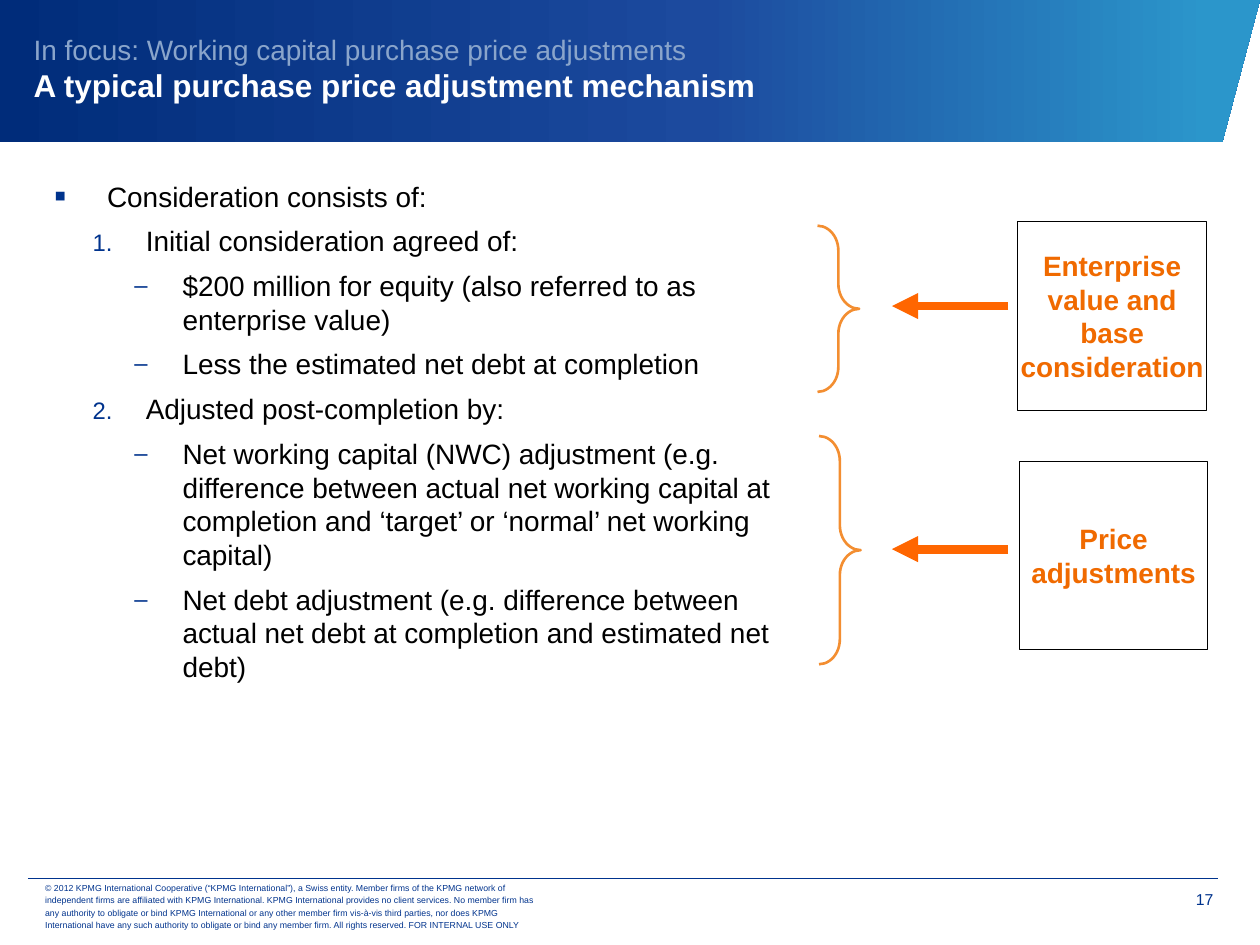
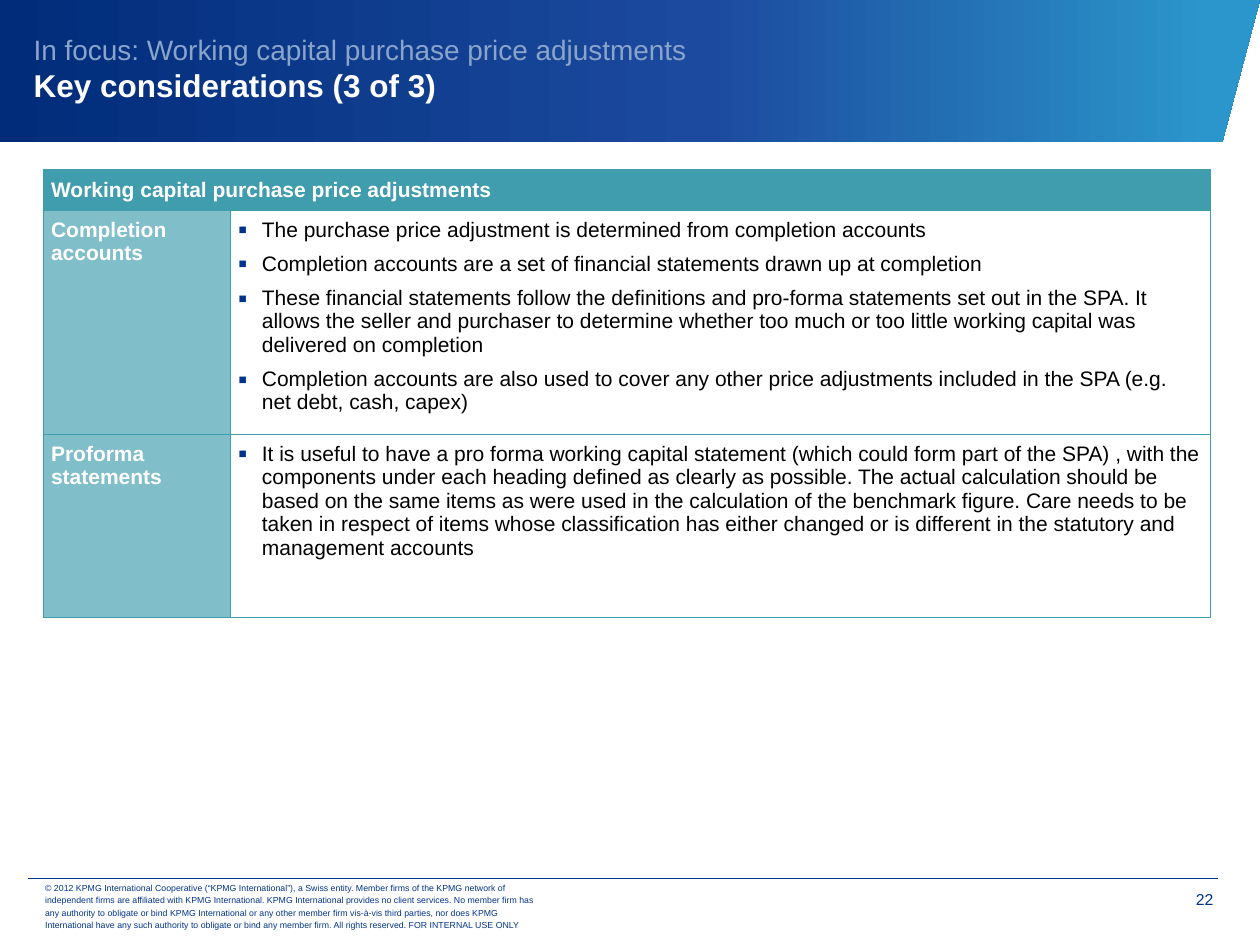
from lxml.etree import SubElement
from pptx import Presentation
from pptx.dml.color import RGBColor
from pptx.enum.shapes import MSO_CONNECTOR, MSO_SHAPE
from pptx.enum.text import MSO_ANCHOR, PP_ALIGN
from pptx.oxml.ns import qn
from pptx.util import Cm, Pt

# Colours and font
NAVY = RGBColor(0x00, 0x33, 0x8D)
PALE_BLUE = RGBColor(0x8A, 0xA5, 0xCB)
WHITE = RGBColor(0xFF, 0xFF, 0xFF)
BLACK = RGBColor(0x00, 0x00, 0x00)
ORANGE_TEXT = RGBColor(0xF0, 0x6A, 0x00)
ORANGE_ARROW = RGBColor(0xFF, 0x66, 0x00)
ORANGE_BRACE = RGBColor(0xF3, 0x8E, 0x31)
TEAL = RGBColor(0x40, 0x9D, 0xAD)
LIGHT_TEAL = RGBColor(0x80, 0xBE, 0xC9)
BAND_STOPS = [
    (0, RGBColor(0x00, 0x2C, 0x7A)),
    (56, RGBColor(0x1C, 0x4A, 0x9E)),
    (96, RGBColor(0x2B, 0x96, 0xCB)),
]
FONT = "Arial"

# Shared content
SERIES = "In focus: Working capital purchase price adjustments"
COPYRIGHT = (
    "© 2012 KPMG International Cooperative (“KPMG International”), a Swiss entity. "
    "Member firms of the KPMG network of independent firms are affiliated with KPMG "
    "International. KPMG International provides no client services. No member firm has any "
    "authority to obligate or bind KPMG International or any other member firm vis-à-vis "
    "third parties, nor does KPMG International have any such authority to obligate or bind "
    "any member firm. All rights reserved. FOR INTERNAL USE ONLY"
)

# Mechanism slide: (list level, text)
MECHANISM = [
    (1, "Consideration consists of:"),
    (2, "Initial consideration agreed of:"),
    (3, "$200 million for equity (also referred to as enterprise value)"),
    (3, "Less the estimated net debt at completion"),
    (2, "Adjusted post-completion by:"),
    (3, "Net working capital (NWC) adjustment (e.g. difference between actual net working "
        "capital at completion and ‘target’ or ‘normal’ net working capital)"),
    (3, "Net debt adjustment (e.g. difference between actual net debt at completion and "
        "estimated net debt)"),
]
# Level: (bullet, size in percent, left margin and hanging indent in cm)
LIST_STYLES = {
    1: ("▪", 125, 1.07, 1.07),
    2: ("number", 85, 1.85, 1.07),
    3: ("–", 85, 2.59, 0.97),
}
# Label, box left and top, arrow height, brace left, top and height, in cm
CALLOUTS = [
    ("Enterprise value and base consideration", 20.52, 4.47, 6.17, 16.48, 4.55, 3.35),
    ("Price adjustments", 20.55, 9.3, 11.07, 16.51, 8.79, 4.6),
]
BOX_SIDE = 3.8

# Considerations slide
TABLE_TITLE = "Working capital purchase price adjustments"
CONSIDERATIONS = [
    ("Completion accounts", [
        "The purchase price adjustment is determined from completion accounts",
        "Completion accounts are a set of financial statements drawn up at completion",
        "These financial statements follow the definitions and pro-forma statements set out in "
        "the SPA. It allows the seller and purchaser to determine whether too much or too "
        "little working capital was delivered on completion",
        "Completion accounts are also used to cover any other price adjustments included in "
        "the SPA (e.g. net debt, cash, capex)",
    ]),
    ("Proforma statements", [
        "It is useful to have a pro forma working capital statement (which could form part of "
        "the SPA) , with the components under each heading defined as clearly as possible. The "
        "actual calculation should be based on the same items as were used in the calculation "
        "of the benchmark figure. Care needs to be taken in respect of items whose "
        "classification has either changed or is different in the statutory and management "
        "accounts",
    ]),
]
COLUMN_WIDTHS = [3.77, 19.76]
ROW_HEIGHTS = [0.81, 4.25, 3.69]
TABLE_BULLET = ("▪", 125, 0.48, 0.48)


def style_run(span, size, colour, bold=False):
    span.font.name = FONT
    span.font.size = Pt(size)
    span.font.color.rgb = colour
    span.font.bold = bold


def set_bullet(para, bullet, percent, margin, hang):
    properties = para._p.get_or_add_pPr()
    properties.set("marL", str(Cm(margin)))
    properties.set("indent", str(-Cm(hang)))
    colour = SubElement(properties, qn("a:buClr"))
    SubElement(colour, qn("a:srgbClr"), val=str(NAVY))
    SubElement(properties, qn("a:buSzPct"), val=str(percent * 1000))
    SubElement(properties, qn("a:buFont"), typeface=FONT)
    if bullet == "number":
        SubElement(properties, qn("a:buAutoNum"), type="arabicPeriod")
    else:
        SubElement(properties, qn("a:buChar"), char=bullet)


def write(frame, texts, size, colour, bold=False, align=PP_ALIGN.LEFT, gap=0):
    """Fill a frame with one paragraph per text and return the paragraphs."""
    frame.text = "\n".join(texts)
    for index, para in enumerate(frame.paragraphs):
        para.alignment = align
        para.space_before = Pt(gap if index else 0)
        for span in para.runs:
            style_run(span, size, colour, bold)
    return frame.paragraphs


def set_insets(frame, left=0, top=0, right=0, bottom=0):
    frame.margin_left, frame.margin_top = Cm(left), Cm(top)
    frame.margin_right, frame.margin_bottom = Cm(right), Cm(bottom)


def add_text(page, left, top, width, height, anchor=MSO_ANCHOR.TOP):
    frame = page.shapes.add_textbox(Cm(left), Cm(top), Cm(width), Cm(height)).text_frame
    frame.word_wrap = True
    frame.vertical_anchor = anchor
    return frame


def add_shape(page, kind, left, top, width, height, line, weight):
    shape = page.shapes.add_shape(kind, Cm(left), Cm(top), Cm(width), Cm(height))
    shape.shadow.inherit = False
    shape.line.color.rgb = line
    shape.line.width = Pt(weight)
    return shape


def add_line(page, start, end, colour, weight):
    line = page.shapes.add_connector(MSO_CONNECTOR.STRAIGHT, *map(Cm, start + end))
    line.line.color.rgb = colour
    line.line.width = Pt(weight)
    SubElement(line._element.spPr, qn("a:effectLst"))
    return line


def add_band(page):
    builder = page.shapes.build_freeform(0, 0)
    corners = [(25.4, 0), (24.64, 2.87), (0, 2.87)]
    builder.add_line_segments([(Cm(x), Cm(y)) for x, y in corners], close=True)
    band = builder.convert_to_shape()
    band.shadow.inherit = False
    band.line.fill.background()
    band.fill.gradient()
    band.fill.gradient_angle = 0
    stops = band._element.spPr.find(qn("a:gradFill")).find(qn("a:gsLst"))
    stops.clear()
    for position, colour in BAND_STOPS:
        stop = SubElement(stops, qn("a:gs"), pos=str(position * 1000))
        SubElement(stop, qn("a:srgbClr"), val=str(colour))


def add_page(deck, title, number):
    page = deck.slides.add_slide(deck.slide_layouts[6])
    add_band(page)

    # Footer
    frame = add_text(page, 23.06, 17.73, 1.4, 0.79)
    set_insets(frame, left=0.2, top=0.2)
    write(frame, [str(number)], 9, NAVY, align=PP_ALIGN.RIGHT)
    frame = add_text(page, 0.66, 17.81, 10.54, 0.89, MSO_ANCHOR.MIDDLE)
    write(frame, [COPYRIGHT], 5, NAVY)[0].line_spacing = Pt(7)
    add_line(page, (0.56, 17.7), (24.56, 17.7), NAVY, 0.25)

    # Title: series name above slide title
    frame = add_text(page, 0.43, 0, 24.97, 2.74, MSO_ANCHOR.MIDDLE)
    para = write(frame, [f"{SERIES}\v{title}"], 16, PALE_BLUE)[0]
    style_run(para.runs[1], 18, WHITE, bold=True)
    return page


def add_callout(page, label, left, top, arrow_y, brace_left, brace_top, brace_height):
    box = add_shape(page, MSO_SHAPE.RECTANGLE, left, top, BOX_SIDE, BOX_SIDE, BLACK, 0.5)
    box.fill.solid()
    box.fill.fore_color.rgb = WHITE
    frame = box.text_frame
    frame.word_wrap = True
    frame.vertical_anchor = MSO_ANCHOR.MIDDLE
    set_insets(frame)
    write(frame, [label], 16, ORANGE_TEXT, bold=True, align=PP_ALIGN.CENTER)

    arrow = add_line(page, (20.32, arrow_y), (17.98, arrow_y), ORANGE_ARROW, 5)
    SubElement(arrow.line._get_or_add_ln(), qn("a:tailEnd"), type="triangle")

    brace = add_shape(page, MSO_SHAPE.LEFT_BRACE, brace_left, brace_top, 0.84, brace_height,
                      ORANGE_BRACE, 1.5)
    brace.fill.background()
    brace.rotation = 180
    brace.adjustments[0] = 0.6


def style_cell(cell, fill):
    set_insets(cell, 0.16, 0.16, 0.16, 0.16)
    properties = cell._tc.get_or_add_tcPr()
    for side in ("lnL", "lnR", "lnT", "lnB"):
        border = SubElement(properties, qn(f"a:{side}"), w=str(Pt(0.5)))
        solid = SubElement(border, qn("a:solidFill"))
        SubElement(solid, qn("a:srgbClr"), val=str(TEAL))
    cell.fill.solid()
    cell.fill.fore_color.rgb = fill


def build_mechanism(deck):
    page = add_page(deck, "A typical purchase price adjustment mechanism", 17)
    frame = add_text(page, 1.09, 3.61, 14.86, 12.8)
    set_insets(frame)
    paras = write(frame, [text for _, text in MECHANISM], 16, BLACK, gap=6.4)
    for para, (level, _) in zip(paras, MECHANISM):
        para.level = level
        set_bullet(para, *LIST_STYLES[level])
    for callout in CALLOUTS:
        add_callout(page, *callout)


def build_considerations(deck):
    page = add_page(deck, "Key considerations (3 of 3)", 22)
    table = page.shapes.add_table(
        len(ROW_HEIGHTS), len(COLUMN_WIDTHS), Cm(0.87), Cm(3.41),
        Cm(sum(COLUMN_WIDTHS)), Cm(sum(ROW_HEIGHTS))).table
    table.first_row = table.horz_banding = False
    for column, width in zip(table.columns, COLUMN_WIDTHS):
        column.width = Cm(width)
    for row, height in zip(table.rows, ROW_HEIGHTS):
        row.height = Cm(height)

    # Heading row
    heading = table.cell(0, 0)
    heading.merge(table.cell(0, 1))
    for cell in table.rows[0].cells:
        style_cell(cell, TEAL)
    heading.vertical_anchor = MSO_ANCHOR.BOTTOM
    write(heading.text_frame, [TABLE_TITLE], 12, WHITE, bold=True)

    # Topic rows
    for index, (topic, points) in enumerate(CONSIDERATIONS, start=1):
        topic_cell, points_cell = table.cell(index, 0), table.cell(index, 1)
        style_cell(topic_cell, LIGHT_TEAL)
        style_cell(points_cell, WHITE)
        write(topic_cell.text_frame, [topic], 12, WHITE, bold=True)
        for para in write(points_cell.text_frame, points, 12, BLACK, gap=6):
            para.level = 2
            set_bullet(para, *TABLE_BULLET)


def main():
    deck = Presentation()
    deck.slide_width, deck.slide_height = Cm(25.4), Cm(19.05)
    build_mechanism(deck)
    build_considerations(deck)
    deck.save("out.pptx")


if __name__ == "__main__":
    main()
